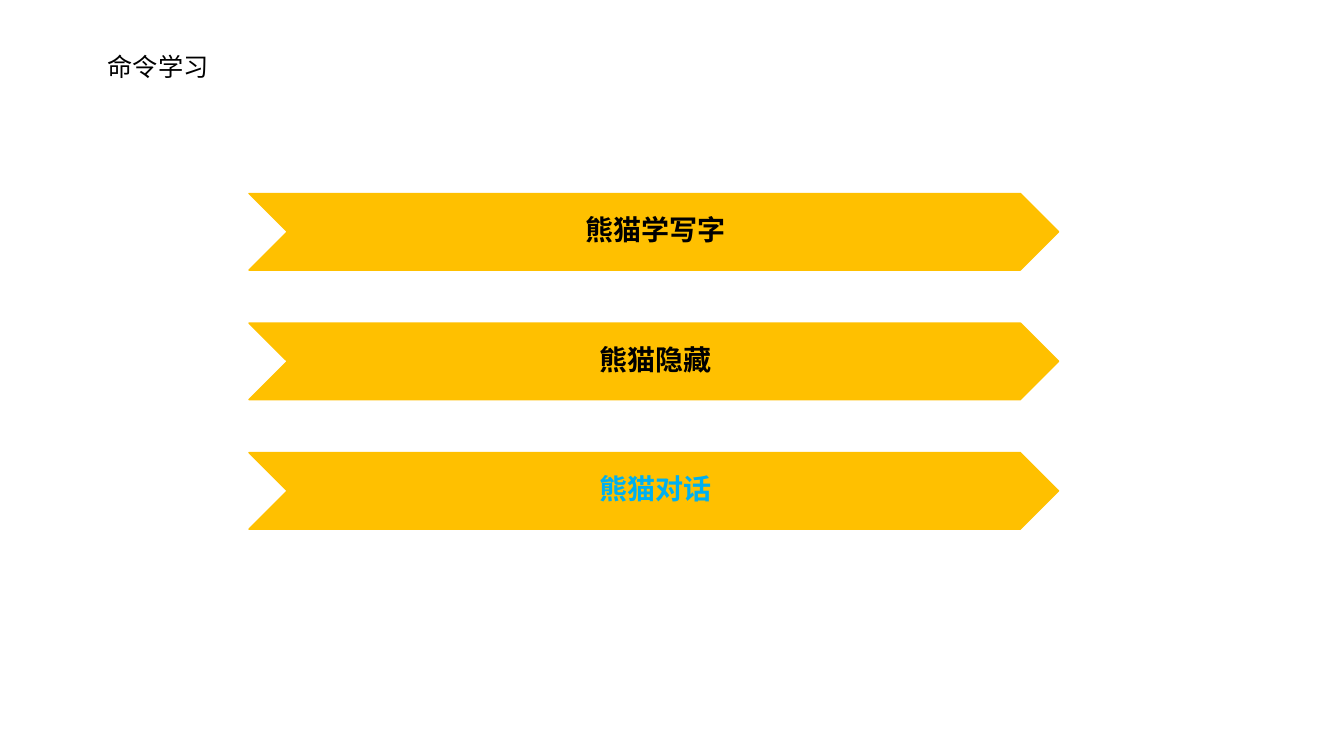
import pptx
import pptx.dml.color
import pptx.enum.shapes
import pptx.enum.text
import pptx.oxml.ns
import pptx.util
from lxml import etree

Inches = pptx.util.Inches
FONT = "Noto Sans CJK SC"
GOLD, BLACK, BLUE = "FFC000", "000000", "00B0F0"
COMMANDS = [("熊猫学写字", BLACK), ("熊猫隐藏", BLACK), ("熊猫对话", BLUE)]
TITLE_FORMAT = {"size": pptx.util.Pt(18), "name": FONT}
LABEL_FORMAT = {"size": pptx.util.Pt(20), "name": FONT, "bold": True}
LABEL_FRAME = {
    "word_wrap": True,
    "vertical_anchor": pptx.enum.text.MSO_ANCHOR.MIDDLE,
    "margin_left": Inches(0.03),
    "margin_top": Inches(0.01),
    "margin_right": 0,
    "margin_bottom": Inches(0.01),
}
LABEL_PARAGRAPH = {"alignment": pptx.enum.text.PP_ALIGN.CENTER, "line_spacing": 0.9}


def color(value):
    return pptx.dml.color.RGBColor.from_string(value)


def set_all(target, values):
    for name, value in values.items():
        setattr(target, name, value)


def add_text(shapes, box, text, text_color, font_format):
    """Add a one-paragraph text box and return its text frame."""
    frame = shapes.add_textbox(*map(Inches, box)).text_frame
    frame.word_wrap = True
    run = frame.paragraphs[0].add_run()
    run.text = text
    set_all(run.font, font_format)
    run.font.color.rgb = color(text_color)
    east_asian = etree.SubElement(run.font._element, pptx.oxml.ns.qn("a:ea"))
    east_asian.set("typeface", font_format["name"])
    return frame


def add_title(slide, box):
    frame = add_text(slide.shapes, box, "命令学习", BLACK, TITLE_FORMAT)
    frame.auto_size = pptx.enum.text.MSO_AUTO_SIZE.SHAPE_TO_FIT_TEXT


def add_command(shapes, box, text, text_color):
    """Add a chevron with its label between the notch and the point."""
    left, top, width, height = box
    chevron = shapes.add_shape(
        pptx.enum.shapes.MSO_SHAPE.CHEVRON, *map(Inches, box))
    chevron.shadow.inherit = False
    chevron.fill.solid()
    chevron.fill.fore_color.rgb = color(GOLD)
    chevron.line.color.rgb = color(GOLD)
    chevron.line.width = pptx.util.Pt(1)

    point = height / 2
    label_box = (left + point, top, width - 2 * point, height)
    frame = add_text(shapes, label_box, text, text_color, LABEL_FORMAT)
    set_all(frame, LABEL_FRAME)
    set_all(frame.paragraphs[0], LABEL_PARAGRAPH)


def add_command_list(slide, box, row_height=0.76):
    """Spread the commands evenly from the top to the bottom of the box."""
    left, top, width, height = box
    pitch = (height - row_height) / (len(COMMANDS) - 1)
    group = slide.shapes.add_group_shape()
    for index, (text, text_color) in enumerate(COMMANDS):
        row = (left, top + index * pitch, width, row_height)
        add_command(group.shapes, row, text, text_color)


def main():
    presentation = pptx.Presentation()
    presentation.slide_width = Inches(13.33)
    presentation.slide_height = Inches(7.5)
    slide = presentation.slides.add_slide(presentation.slide_layouts[6])
    add_title(slide, (0.97, 0.46, 4.08, 0.4))
    add_command_list(slide, (2.47, 1.92, 8.03, 3.33))
    presentation.save("out.pptx")


if __name__ == "__main__":
    main()
